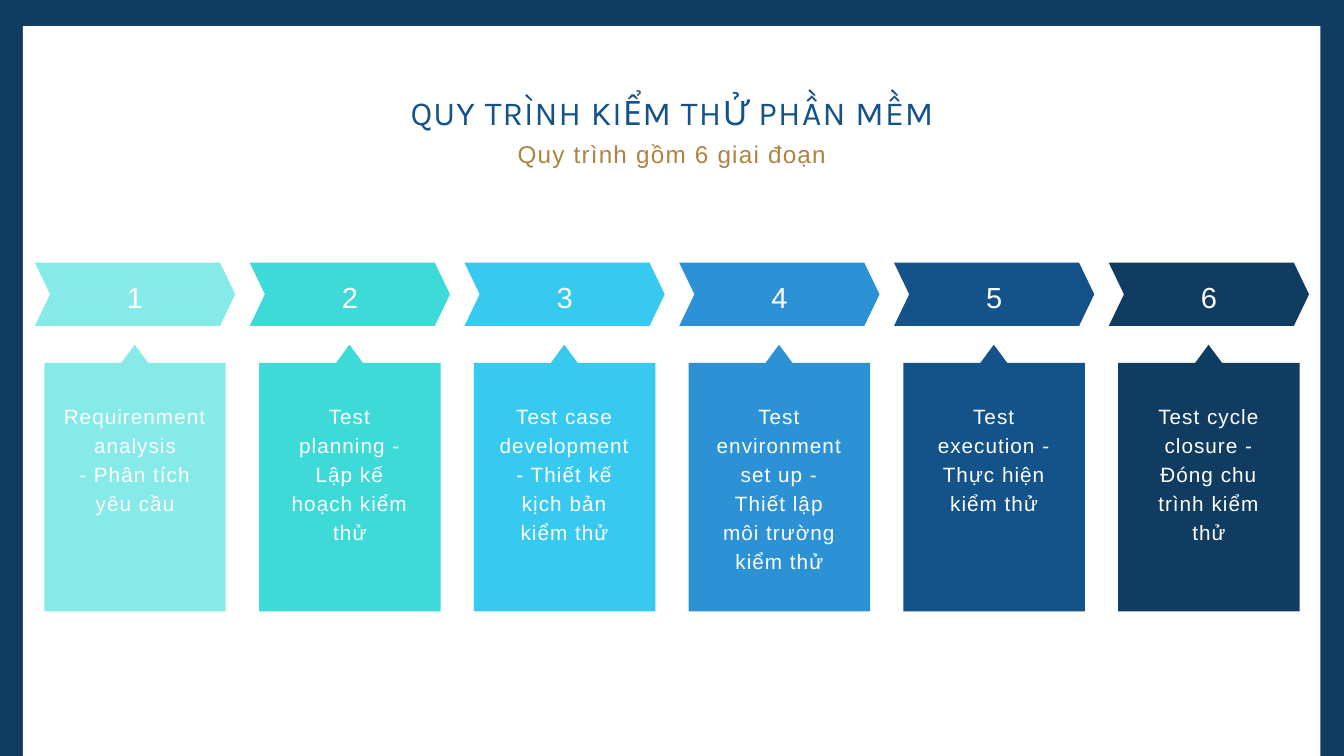
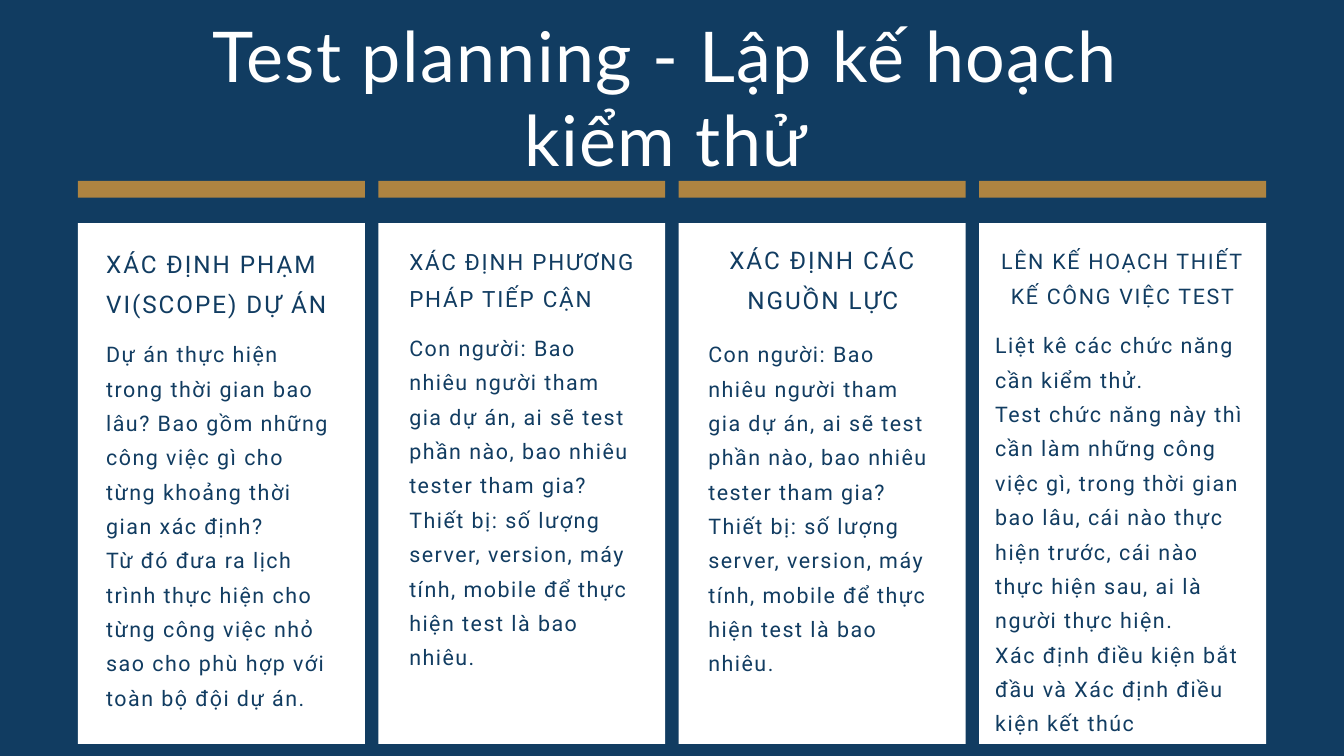
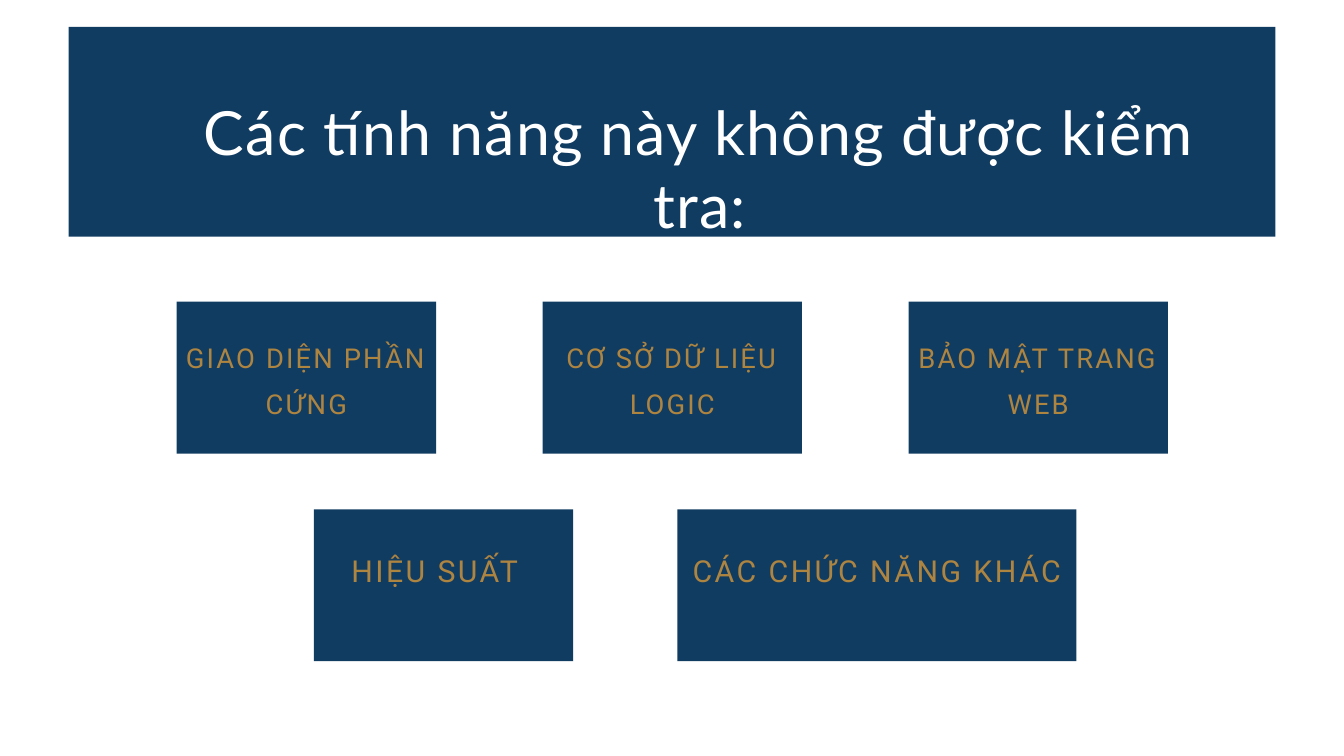
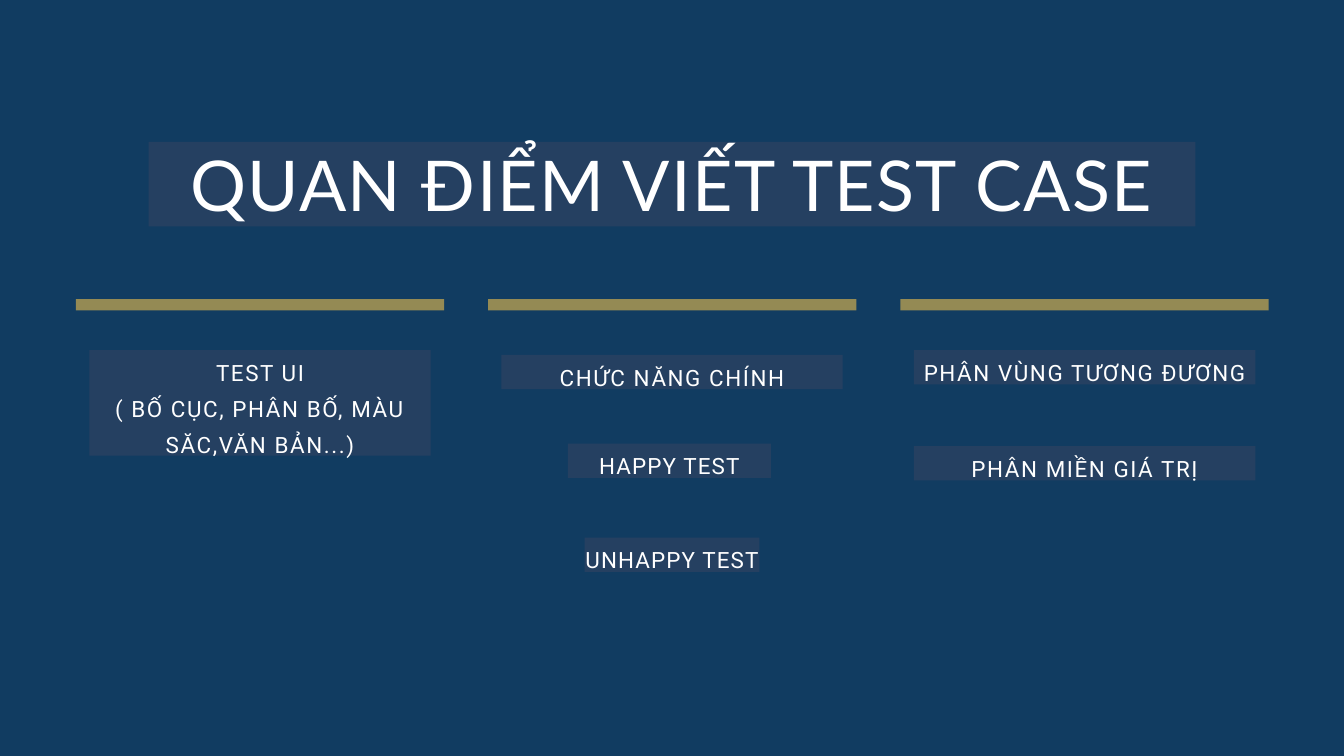
from dataclasses import dataclass, replace

from pptx import Presentation
from pptx.dml.color import RGBColor
from pptx.enum.shapes import MSO_SHAPE
from pptx.enum.text import MSO_ANCHOR, MSO_AUTO_SIZE, PP_ALIGN
from pptx.util import Inches, Pt

NAVY = RGBColor(0x11, 0x3C, 0x61)
BLUE = RGBColor(0x13, 0x53, 0x8A)
SKY = RGBColor(0x2C, 0x92, 0xD5)
CYAN = RGBColor(0x37, 0xC9, 0xEF)
TEAL = RGBColor(0x3E, 0xDA, 0xD8)
MINT = RGBColor(0x86, 0xEA, 0xE9)
GOLD = RGBColor(0xAE, 0x84, 0x41)
OLIVE = RGBColor(0x94, 0x8A, 0x54)
SLATE = RGBColor(0x25, 0x40, 0x61)
WHITE = RGBColor(0xFF, 0xFF, 0xFF)

TITLE_SLIDE, TITLE_ONLY = 0, 5


@dataclass(frozen=True)
class TextStyle:
    """Type settings; size, line height and letter spacing are in points."""
    font: str
    size: float
    color: RGBColor
    line: float
    spacing: float
    align: PP_ALIGN = PP_ALIGN.CENTER


BIG_TITLE = TextStyle("Lato", 75, WHITE, 90, 1.5)
BAND_TITLE = replace(BIG_TITLE, size=65.2, line=78.3, spacing=1.3)
PROCESS_TITLE = TextStyle("Karla", 36, BLUE, 47.2, 1.1)
SUBTITLE = TextStyle("Arial", 26, GOLD, 36.4, 1.3)
STEP_NUMBER = TextStyle("Arial", 31.1, WHITE, 43.5, 1.6)
STEP_TEXT = TextStyle("Arial", 22.2, WHITE, 31.1, 1.1)
PLAN_HEADING = TextStyle("Roboto", 26, NAVY, 42.9, 2.1)
PLAN_BODY = TextStyle("Roboto", 23, NAVY, 36.8, 1.6, PP_ALIGN.LEFT)
FEATURE = TextStyle("Roboto", 29.3, GOLD, 48.4, 2.3)
WIDE_FEATURE = replace(FEATURE, size=32.4, line=53.4, spacing=2.6)
VIEWPOINT = TextStyle("Roboto", 24, WHITE, 38.4, 1.7)
TEST_KIND = replace(VIEWPOINT, spacing=1.2)

STEPS = [
    (MINT, "Requirenment analysis\n- Phân tích yêu cầu"),
    (TEAL, "Test planning - Lập kế hoạch kiểm thử"),
    (CYAN, "Test case development - Thiết kế kịch bản kiểm thử"),
    (SKY, "Test environment set up - Thiết lập môi trường kiểm thử"),
    (BLUE, "Test execution - Thực hiện kiểm thử"),
    (NAVY, "Test cycle closure - Đóng chu trình kiểm thử"),
]

RESOURCES = (
    "Con người: Bao nhiêu người tham gia dự án, ai sẽ test phần nào, "
    "bao nhiêu tester tham gia?\n"
    "Thiết bị: số lượng server, version, máy tính, mobile để thực hiện "
    "test là bao nhiêu."
)

# heading, its style, body, left, width, heading top, body top
PLANS = [
    ("XÁC ĐỊNH PHẠM VI(SCOPE) DỰ ÁN",
     replace(PLAN_HEADING, align=PP_ALIGN.LEFT),
     "Dự án thực hiện trong thời gian bao lâu? Bao gồm những công việc gì "
     "cho từng khoảng thời gian xác định?\n"
     "Từ đó đưa ra lịch trình thực hiện cho từng công việc nhỏ sao cho "
     "phù hợp với toàn bộ đội dự án.",
     1.58, 3.41, 3.54, 4.95),
    ("XÁC ĐỊNH PHƯƠNG PHÁP TIẾP CẬN",
     replace(PLAN_HEADING, size=24, line=39.6, spacing=1.9, align=PP_ALIGN.LEFT),
     RESOURCES, 6.09, 3.41, 3.54, 4.86),
    ("XÁC ĐỊNH CÁC NGUỒN LỰC", PLAN_HEADING,
     RESOURCES, 10.54, 3.41, 3.48, 4.95),
    ("LÊN KẾ HOẠCH THIẾT KẾ CÔNG VIỆC TEST",
     replace(PLAN_HEADING, size=23, line=38, spacing=1.8),
     "Liệt kê các chức năng cần kiểm thử.\n"
     "Test chức năng này thì cần làm những công việc gì, trong thời gian "
     "bao lâu, cái nào thực hiện trước, cái nào thực hiện sau, ai là người "
     "thực hiện.\n"
     "Xác định điều kiện bắt đầu và Xác định điều kiện kết thúc",
     14.81, 3.79, 3.54, 4.82),
]

VIEWPOINTS = [
    ("TEST UI\n( BỐ CỤC, PHÂN BỐ, MÀU SĂC,VĂN BẢN...)", VIEWPOINT,
     1.33, 5.21, 5.08, 1.57),
    ("CHỨC NĂNG CHÍNH", VIEWPOINT, 7.46, 5.28, 5.08, 0.51),
    ("HAPPY TEST", TEST_KIND, 8.45, 6.6, 3.02, 0.51),
    ("UNHAPPY TEST", TEST_KIND, 8.7, 8, 2.6, 0.51),
    ("PHÂN VÙNG TƯƠNG ĐƯƠNG", VIEWPOINT, 13.6, 5.21, 5.08, 0.51),
    ("PHÂN MIỀN GIÁ TRỊ", VIEWPOINT, 13.6, 6.64, 5.08, 0.51),
]


def write(shape, text, style, anchor=MSO_ANCHOR.TOP, top=0, side=0, right=None):
    """Fill a shape with styled text; top, side and right are insets in inches."""
    frame = shape.text_frame
    frame.text = text
    frame.word_wrap = True
    frame.auto_size = MSO_AUTO_SIZE.NONE
    frame.vertical_anchor = anchor
    frame.margin_top, frame.margin_bottom = Inches(top), 0
    frame.margin_left = Inches(side)
    frame.margin_right = Inches(side if right is None else right)
    for paragraph in frame.paragraphs:
        paragraph.alignment = style.align
        paragraph.line_spacing = Pt(style.line)
        paragraph.space_before = Pt(0)
        for run in paragraph.runs:
            run.font.name = style.font
            run.font.size = Pt(style.size)
            run.font.color.rgb = style.color
            run._r.get_or_add_rPr().set("spc", str(round(style.spacing * 100)))


def add_block(slide, left, top, width, height, color, kind=MSO_SHAPE.RECTANGLE):
    block = slide.shapes.add_shape(
        kind, Inches(left), Inches(top), Inches(width), Inches(height))
    block.shadow.inherit = False
    block.fill.solid()
    block.fill.fore_color.rgb = color
    block.line.fill.background()
    return block


def add_backdrop(slide, left, top, width, height, color):
    """Add a block behind everything else, placeholders included."""
    block = add_block(slide, left, top, width, height, color)
    slide.shapes._spTree.insert(2, block._element)


def add_label(slide, left, top, width, height, text, style):
    label = slide.shapes.add_textbox(
        Inches(left), Inches(top), Inches(width), Inches(height))
    write(label, text, style)


def place(placeholder, left, top, width, height, text, style):
    placeholder.left, placeholder.top = Inches(left), Inches(top)
    placeholder.width, placeholder.height = Inches(width), Inches(height)
    write(placeholder, text, style)


def add_slide(prs, layout, background):
    slide = prs.slides.add_slide(prs.slide_layouts[layout])
    slide.background.fill.solid()
    slide.background.fill.fore_color.rgb = background
    return slide


def add_step(slide, index, color, text):
    """Numbered chevron with a pointed card below it."""
    left = 0.52 + index * 15.98 / 5
    chevron = add_block(slide, left, 3.91, 2.98, 0.94, color, MSO_SHAPE.CHEVRON)
    chevron.adjustments[0] = 0.24
    write(chevron, str(index + 1), STEP_NUMBER, MSO_ANCHOR.MIDDLE)
    card = add_block(slide, left + 0.14, 5.4, 2.7, 3.7, color)
    write(card, text, STEP_TEXT, top=0.54, side=0.38 if index else 0.28)
    add_block(slide, left + 1.27, 5.13, 0.43, 0.29, color,
              MSO_SHAPE.ISOSCELES_TRIANGLE)


def build_process(prs):
    slide = add_slide(prs, TITLE_SLIDE, NAVY)
    add_backdrop(slide, 0.34, 0.39, 19.31, 10.86, WHITE)
    place(slide.shapes.title, 3.88, 1.31, 12.24, 0.63,
          "QUY TRÌNH KIỂM THỬ PHẦN MỀM", PROCESS_TITLE)
    place(slide.placeholders[1], 3.88, 2, 12.24, 0.48,
          "Quy trình gồm 6 giai đoạn", SUBTITLE)
    for index, (color, text) in enumerate(STEPS):
        add_step(slide, index, color, text)


def build_planning(prs):
    slide = add_slide(prs, TITLE_ONLY, NAVY)
    place(slide.shapes.title, 2.51, 0.18, 14.8, 2.51,
          "Test planning - Lập kế hoạch kiểm thử", BIG_TITLE)
    for index, plan in enumerate(PLANS):
        heading, heading_style, body, left, width, heading_top, body_top = plan
        column_left = 1.16 + index * 4.47
        add_block(slide, column_left, 2.69, 4.27, 0.25, GOLD)
        add_block(slide, column_left, 3.32, 4.27, 7.75, WHITE)
        add_label(slide, left, heading_top, width, 1.12, heading, heading_style)
        add_label(slide, left, body_top, width, 6.08, body, PLAN_BODY)


def build_untested_features(prs):
    slide = add_slide(prs, TITLE_ONLY, WHITE)
    add_backdrop(slide, 1.02, 0.4, 17.96, 3.12, NAVY)
    place(slide.shapes.title, 2.34, 1.41, 16.15, 2.18,
          "Các tính năng này không được kiểm tra:", BAND_TITLE)
    features = ["GIAO DIỆN PHẦN CỨNG", "CƠ SỞ DỮ LIỆU LOGIC", "BẢO MẬT TRANG WEB"]
    for index, feature in enumerate(features):
        card = add_block(slide, 2.63 + index * 5.445, 4.49, 3.86, 2.26, NAVY)
        write(card, feature, FEATURE, top=0.41)
    for left, width, right, feature in [
        (4.67, 3.86, 0.26, "HIỆU SUẤT"),
        (10.08, 5.94, 0, "CÁC CHỨC NĂNG KHÁC"),
    ]:
        card = add_block(slide, left, 7.58, width, 2.26, NAVY)
        write(card, feature, WIDE_FEATURE, top=0.43, right=right)


def build_viewpoints(prs):
    slide = add_slide(prs, TITLE_ONLY, NAVY)
    title = slide.shapes.title
    place(title, 2.21, 2.11, 15.58, 1.26, "QUAN ĐIỂM VIẾT TEST CASE", BIG_TITLE)
    title.fill.solid()
    title.fill.fore_color.rgb = SLATE
    for index in range(3):
        add_block(slide, 1.13 + index * 12.27 / 2, 4.45, 5.48, 0.17, OLIVE)
    for text, style, left, top, width, height in VIEWPOINTS:
        write(add_block(slide, left, top, width, height, SLATE), text, style)


def main():
    prs = Presentation()
    prs.slide_width, prs.slide_height = Inches(20), Inches(11.25)
    build_process(prs)
    build_planning(prs)
    build_untested_features(prs)
    build_viewpoints(prs)
    prs.save("out.pptx")


if __name__ == "__main__":
    main()
